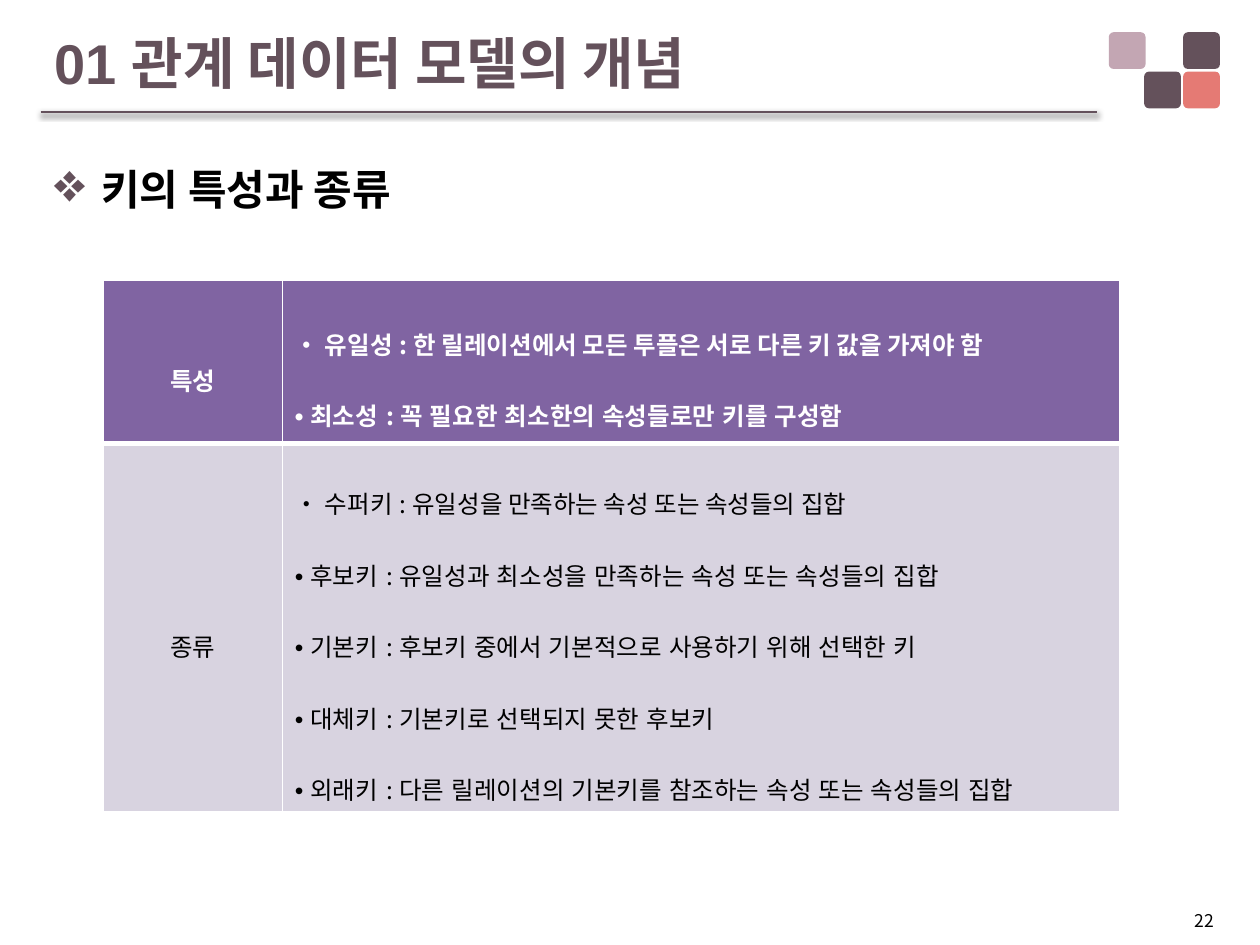
from lxml import etree
from pptx import Presentation
from pptx import util as u
from pptx.dml.color import RGBColor
from pptx.enum import shapes, text
from pptx.oxml import ns

Pt = u.Pt
PLUM = RGBColor(0x64, 0x51, 0x5B)
CORAL = RGBColor(0xE5, 0x7A, 0x74)
MAUVE = RGBColor(0xC3, 0xA6, 0xB3)
PURPLE = RGBColor(0x80, 0x64, 0xA2)
LAVENDER = RGBColor(0xD8, 0xD3, 0xE0)
WHITE = RGBColor(0xFF, 0xFF, 0xFF)
BLACK = RGBColor(0, 0, 0)

HEADING = "Arial"
BODY = "Noto Sans CJK KR"

SQUARES = [
    (676.1, 18.4, PLUM),
    (653.8, 40.9, PLUM),
    (676.1, 40.9, CORAL),
    (633.6, 18.4, MAUVE),
]
COLUMN_WIDTHS = (102.2, 478.4)
ROW_HEIGHTS = (93.4, 210.4)
KEY_TABLE = [
    ("특성", PURPLE, WHITE, True, [
        ("유일성", "한 릴레이션에서 모든 투플은 서로 다른 키 값을 가져야 함"),
        ("최소성", "꼭 필요한 최소한의 속성들로만 키를 구성함"),
    ]),
    ("종류", LAVENDER, BLACK, False, [
        ("수퍼키", "유일성을 만족하는 속성 또는 속성들의 집합"),
        ("후보키", "유일성과 최소성을 만족하는 속성 또는 속성들의 집합"),
        ("기본키", "후보키 중에서 기본적으로 사용하기 위해 선택한 키"),
        ("대체키", "기본키로 선택되지 못한 후보키"),
        ("외래키", "다른 릴레이션의 기본키를 참조하는 속성 또는 속성들의 집합"),
    ]),
]


def add(parent, tag, **attributes):
    return etree.SubElement(parent, ns.qn(tag), attributes)


class KeySlide:
    def __init__(self, presentation):
        self.slide = presentation.slides.add_slide(presentation.slide_layouts[6])

    def style(self, paragraph, font, size, color, bold=False, align=text.PP_ALIGN.LEFT):
        paragraph.font.name = font
        paragraph.font.size = Pt(size)
        paragraph.font.color.rgb = color
        paragraph.font.bold = bold
        paragraph.alignment = align

    def run(self, paragraph, words, spacing=0, asian_font=None):
        run = paragraph.add_run()
        run.text = words
        properties = run.font._element
        if spacing:
            properties.set("spc", str(int(spacing * 100)))
        if asian_font:
            add(properties, "a:ea", typeface=asian_font)

    def square(self, left, top, color):
        shape = self.slide.shapes.add_shape(
            shapes.MSO_SHAPE.ROUNDED_RECTANGLE, Pt(left), Pt(top), Pt(21), Pt(21))
        shape.adjustments[0] = 0.13
        shape.shadow.inherit = False
        shape.fill.solid()
        shape.fill.fore_color.rgb = color
        shape.line.fill.background()

    def rule(self, left, right, top):
        line = self.slide.shapes.add_connector(
            shapes.MSO_CONNECTOR.STRAIGHT, Pt(left), Pt(top), Pt(right), Pt(top))
        line.line.color.rgb = PLUM
        line.line.width = Pt(1.5)
        effects = add(line._element.spPr, "a:effectLst")
        shadow = add(effects, "a:outerShdw", blurRad="40000", dist="20000",
                     dir="5400000", rotWithShape="0")
        add(add(shadow, "a:srgbClr", val=str(BLACK)), "a:alpha", val="38000")

    def textbox(self, left, top, width, height, anchor=text.MSO_ANCHOR.TOP):
        frame = self.slide.shapes.add_textbox(
            Pt(left), Pt(top), Pt(width), Pt(height)).text_frame
        frame.word_wrap = True
        frame.vertical_anchor = anchor
        return frame.paragraphs[0]

    def title(self, number, words):
        paragraph = self.textbox(23.8, 12.2, 676.8, 46.8, text.MSO_ANCHOR.MIDDLE)
        self.style(paragraph, HEADING, 32, PLUM, True)
        for part in (number, " ", words):
            self.run(paragraph, part)

    def heading(self, words):
        paragraph = self.textbox(23.8, 90, 673.2, 436.3)
        self.style(paragraph, HEADING, 24, BLACK, True)
        paragraph.space_before = Pt(4.8)
        self.run(paragraph, words)
        properties = paragraph._p.get_or_add_pPr()
        properties.set("marL", str(Pt(27)))
        properties.set("indent", str(Pt(-27)))
        bullet_color = etree.Element(ns.qn("a:buClr"))
        add(bullet_color, "a:srgbClr", val=str(PLUM))
        bullet_size = etree.Element(ns.qn("a:buSzPct"), val="130000")
        bullet = etree.Element(ns.qn("a:buChar"), char="❖")
        defaults = properties.find(ns.qn("a:defRPr"))
        for element in (bullet_color, bullet_size, bullet):
            defaults.addprevious(element)

    def page_number(self, words):
        paragraph = self.textbox(12.6, 516.6, 688.3, 19.4)
        self.style(paragraph, BODY, 10, BLACK, align=text.PP_ALIGN.RIGHT)
        self.run(paragraph, words)

    def cell(self, cell, fill, top, bottom):
        cell.vertical_anchor = text.MSO_ANCHOR.MIDDLE
        properties = cell._tc.get_or_add_tcPr()
        for side, width in (("L", 1), ("R", 1), ("T", top), ("B", bottom)):
            border = add(properties, f"a:ln{side}", w=str(Pt(width)))
            add(add(border, "a:solidFill"), "a:srgbClr", val=str(WHITE))
        cell.fill.solid()
        cell.fill.fore_color.rgb = fill

    def table(self, rows):
        table = self.slide.shapes.add_table(
            len(rows), len(COLUMN_WIDTHS), Pt(59.1), Pt(160),
            Pt(sum(COLUMN_WIDTHS)), Pt(sum(ROW_HEIGHTS))).table
        for column, width in zip(table.columns, COLUMN_WIDTHS):
            column.width = Pt(width)
        for row, height in zip(table.rows, ROW_HEIGHTS):
            row.height = Pt(height)
        for index, (label, fill, color, bold, entries) in enumerate(rows):
            label_cell, entry_cell = table.rows[index].cells
            top, bottom = (3, 1) if index else (1, 3)
            for cell in (label_cell, entry_cell):
                self.cell(cell, fill, top, bottom)
            paragraph = label_cell.text_frame.paragraphs[0]
            self.style(paragraph, BODY, 14, color, bold, text.PP_ALIGN.CENTER)
            paragraph.line_spacing = 2.0
            self.run(paragraph, label)
            frame = entry_cell.text_frame
            for position, (name, meaning) in enumerate(entries):
                paragraph = frame.add_paragraph() if position else frame.paragraphs[0]
                self.style(paragraph, BODY, 14, color, bold)
                paragraph.line_spacing = 2.0
                self.run(paragraph, "• ", asian_font=HEADING if position else None)
                self.run(paragraph, name)
                self.run(paragraph, " :", spacing=0.5)
                self.run(paragraph, f" {meaning}")


def main():
    presentation = Presentation()
    presentation.slide_width = Pt(720)
    presentation.slide_height = Pt(540)
    slide = KeySlide(presentation)
    for left, top, color in SQUARES:
        slide.square(left, top, color)
    slide.rule(23.3, 627.1, 64)
    slide.page_number("22")
    slide.title("01", "관계 데이터 모델의 개념")
    slide.heading("키의 특성과 종류")
    slide.table(KEY_TABLE)
    presentation.save("out.pptx")


if __name__ == "__main__":
    main()
